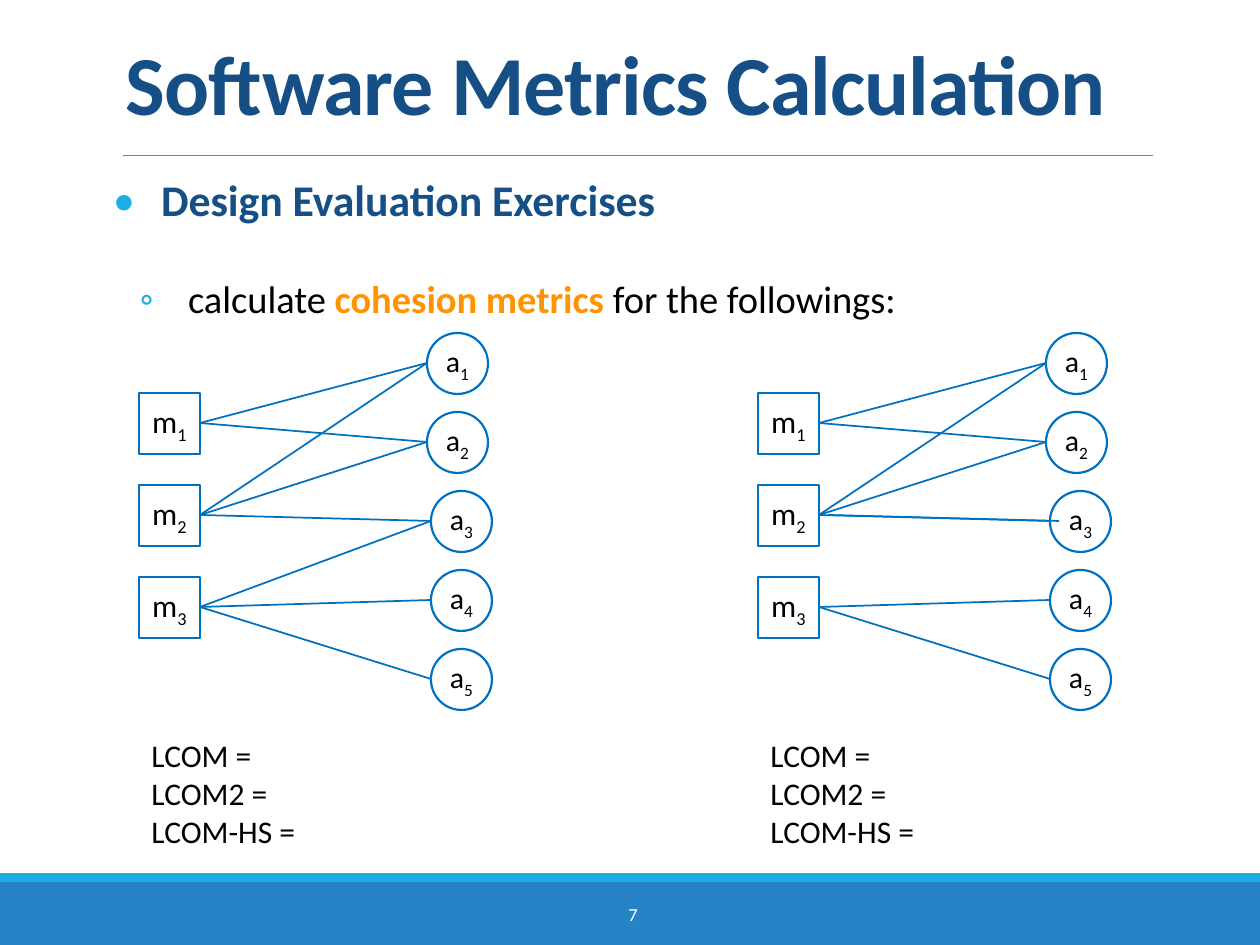
from dataclasses import dataclass

from lxml.etree import SubElement
from pptx import Presentation
from pptx.dml.color import RGBColor
from pptx.enum.shapes import MSO_CONNECTOR, MSO_SHAPE
from pptx.enum.text import MSO_ANCHOR, MSO_AUTO_SIZE, PP_ALIGN
from pptx.oxml.ns import qn
from pptx.util import Pt

EMU_PER_PX = 914400 / 126
FONT = "Calibri"
NAVY, BLUE, CYAN, EDGE_BLUE = "154F86", "2683C6", "1CADE4", "0070C0"
ORANGE, GREY, BLACK, WHITE = "FF9300", "808080", "000000", "FFFFFF"

NODE_SIZE = 61
METHOD_LEFT, METHOD_TOP, METHOD_STEP = 139, 393, 92
ATTRIBUTE_LEFTS = (427, 427, 431, 431, 431)
ATTRIBUTE_TOP, ATTRIBUTE_STEP = 333, 79
METRICS = ("LCOM =", "LCOM2 =", "LCOM-HS =")


@dataclass(frozen=True)
class Edge:
    method: int
    attribute: int
    shift: int = 0


@dataclass(frozen=True)
class CohesionGraph:
    left: int
    edges: tuple[Edge, ...]


SHARED_EDGES = (Edge(1, 1), Edge(1, 2), Edge(2, 1), Edge(2, 2), Edge(2, 3),
                Edge(3, 4), Edge(3, 5))
GRAPHS = (
    CohesionGraph(0, SHARED_EDGES + (Edge(3, 3),)),
    CohesionGraph(619, SHARED_EDGES + (Edge(2, 3, shift=9),)),
)


def px(length: int) -> int:
    return round(length * EMU_PER_PX)


def color(value: str) -> RGBColor:
    return RGBColor.from_string(value)


def add_text(paragraph, text: str, *, size: float, fill: str = BLACK,
             bold: bool = False, baseline: int = 0, spacing: int = 0) -> None:
    """Append a run; baseline is in 1/1000 percent, spacing in 1/100 point."""
    run = paragraph.add_run()
    run.text = text
    run.font.name = FONT
    run.font.size = Pt(size)
    run.font.bold = bold
    run.font.color.rgb = color(fill)
    properties = run.font._element
    if baseline:
        properties.set("baseline", str(baseline))
    if spacing:
        properties.set("spc", str(spacing))


def add_bullet(paragraph, character: str, margin: int, hanging: int) -> None:
    properties = paragraph._p.get_or_add_pPr()
    properties.set("marL", str(px(margin)))
    properties.set("indent", str(-px(hanging)))
    bullet_color = SubElement(properties, qn("a:buClr"))
    SubElement(bullet_color, qn("a:srgbClr"), val=CYAN)
    SubElement(properties, qn("a:buFont"), typeface=FONT)
    SubElement(properties, qn("a:buChar"), char=character)


def add_text_box(slide, left: int, top: int, width: int, height: int, wrap: bool = True):
    text_box = slide.shapes.add_textbox(px(left), px(top), px(width), px(height))
    text_box.text_frame.word_wrap = wrap
    return text_box.text_frame


def add_band(slide, top: int, height: int, fill: str) -> None:
    band = slide.shapes.add_shape(MSO_SHAPE.RECTANGLE, 0, px(top), px(1260), px(height))
    band.shadow.inherit = False
    band.fill.solid()
    band.fill.fore_color.rgb = color(fill)
    band.line.fill.background()


def add_line(slide, start: tuple[int, int], end: tuple[int, int],
             stroke: str, width: float) -> None:
    line = slide.shapes.add_connector(
        MSO_CONNECTOR.STRAIGHT, *(px(value) for value in start + end))
    line.line.color.rgb = color(stroke)
    line.line.width = Pt(width)
    SubElement(line._element.spPr, qn("a:effectLst"))


def add_node(slide, kind: MSO_SHAPE, left: int, top: int, letter: str,
             number: int, size: int) -> None:
    node = slide.shapes.add_shape(kind, px(left), px(top), px(NODE_SIZE), px(NODE_SIZE))
    node.shadow.inherit = False
    node.fill.background()
    node.line.color.rgb = color(EDGE_BLUE)
    node.line.width = Pt(1.25)
    frame = node.text_frame
    frame.vertical_anchor = MSO_ANCHOR.MIDDLE
    if kind == MSO_SHAPE.OVAL:
        frame.margin_left = frame.margin_right = 0
    paragraph = frame.paragraphs[0]
    paragraph.alignment = PP_ALIGN.CENTER
    add_text(paragraph, letter, size=size)
    add_text(paragraph, str(number), size=size, baseline=-25000)


def add_graph(slide, graph: CohesionGraph) -> None:
    """Draw methods, the attributes they use, and the metrics to fill in."""
    methods = {number: (graph.left + METHOD_LEFT, METHOD_TOP + METHOD_STEP * (number - 1))
               for number in range(1, 4)}
    attributes = {number: (graph.left + left, ATTRIBUTE_TOP + ATTRIBUTE_STEP * (number - 1))
                  for number, left in enumerate(ATTRIBUTE_LEFTS, 1)}
    for number, (left, top) in methods.items():
        add_node(slide, MSO_SHAPE.RECTANGLE, left, top, "m", number, 18)
    for number, (left, top) in attributes.items():
        add_node(slide, MSO_SHAPE.OVAL, left, top, "a", number, 17)

    middle = NODE_SIZE // 2
    for edge in graph.edges:
        method_left, method_top = methods[edge.method]
        attribute_left, attribute_top = attributes[edge.attribute]
        add_line(slide, (method_left + NODE_SIZE + edge.shift, method_top + middle),
                 (attribute_left + edge.shift, attribute_top + middle), EDGE_BLUE, 1)

    frame = add_text_box(slide, graph.left + METHOD_LEFT, 730, 171, 127, wrap=False)
    for index, metric in enumerate(METRICS):
        paragraph = frame.add_paragraph() if index else frame.paragraphs[0]
        add_text(paragraph, metric, size=18)


def add_title(slide) -> None:
    title = slide.shapes.title
    title.left, title.top, title.width, title.height = px(113), px(39), px(1040), px(100)
    frame = title.text_frame
    frame.auto_size = MSO_AUTO_SIZE.NONE
    frame.vertical_anchor = MSO_ANCHOR.BOTTOM
    paragraph = frame.paragraphs[0]
    paragraph.alignment = PP_ALIGN.LEFT
    paragraph.line_spacing = 0.85
    add_text(paragraph, "Software Metrics Calculation", size=48, fill=NAVY,
             bold=True, spacing=-50)


def add_body(slide) -> None:
    frame = add_text_box(slide, 113, 173, 1040, 684)
    frame.margin_left = frame.margin_right = 0
    heading = frame.paragraphs[0]
    heading.line_spacing = 0.9
    heading.space_after = Pt(23)
    add_bullet(heading, "•", 48, 48)
    add_text(heading, "Design Evaluation Exercises", size=25, fill=NAVY, bold=True)

    task = frame.add_paragraph()
    task.line_spacing = 0.9
    task.space_before = Pt(8)
    add_bullet(task, "◦", 75, 48)
    add_text(task, "calculate ", size=22)
    add_text(task, "cohesion metrics ", size=22, fill=ORANGE, bold=True)
    add_text(task, "for the followings:", size=22)


def add_footer(slide) -> None:
    add_band(slide, 882, 63, BLUE)
    add_band(slide, 873, 9, CYAN)
    frame = add_text_box(slide, 565, 889, 136, 50)
    frame.vertical_anchor = MSO_ANCHOR.MIDDLE
    frame.paragraphs[0].alignment = PP_ALIGN.CENTER
    add_text(frame.paragraphs[0], "7", size=10.5, fill=WHITE)


def main() -> None:
    presentation = Presentation()
    presentation.slide_width, presentation.slide_height = px(1260), px(945)
    slide = presentation.slides.add_slide(presentation.slide_layouts[5])
    add_footer(slide)
    add_line(slide, (123, 155), (1153, 155), GREY, 0.5)
    add_title(slide)
    add_body(slide)
    for graph in GRAPHS:
        add_graph(slide, graph)
    presentation.save("out.pptx")


if __name__ == "__main__":
    main()
